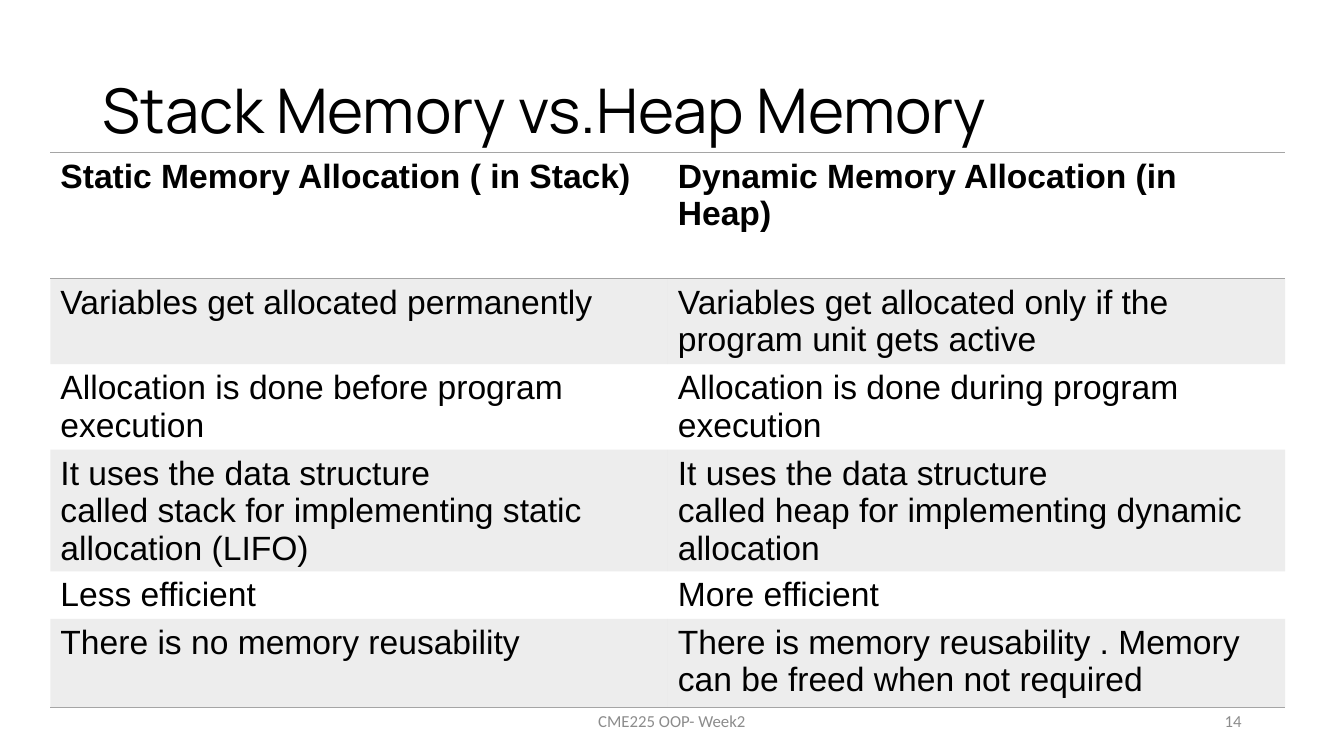
"""Build a slide that compares stack memory with heap memory in a table."""
from lxml.etree import SubElement
from pptx import Presentation
from pptx.dml.color import RGBColor
from pptx.enum.text import MSO_ANCHOR, MSO_AUTO_SIZE, PP_ALIGN
from pptx.oxml.ns import qn
from pptx.util import Pt

BLACK = RGBColor(0x00, 0x00, 0x00)
GREY = RGBColor(0x8C, 0x8C, 0x8C)
RULE = RGBColor(0xA5, 0xA5, 0xA5)
HARD = chr(160)

TITLE = {"name": "Manrope", "size": Pt(44), "bold": False}
HEAD = {"name": "Arial", "size": Pt(24), "bold": True}
BODY = {**HEAD, "bold": False}
FOOT = {"name": "Calibri", "size": Pt(12), "bold": False}

ROWS = [
    (90, "Static Memory Allocation ( in Stack)",
     "Dynamic Memory Allocation (in Heap)"),
    (61, "Variables get allocated~permanently",
     "Variables get allocated~only~if the program unit gets active"),
    (61, "Allocation is done~before~program execution",
     "Allocation is done~during~program execution"),
    (87, "It uses the data structure called~stack~for implementing static allocation (LIFO)",
     "It uses the data structure called~heap~for implementing dynamic allocation"),
    (34, "Less efficient", "More efficient"),
    (63, "There is~no memory reusability",
     "There is~memory reusability~. Memory can be freed when not required"),
]
NOTES = [(318, 324, PP_ALIGN.CENTER, "CME225 OOP- Week2"),
         (678, 216, PP_ALIGN.RIGHT, "14")]


def write(frame, text, look, color, align=PP_ALIGN.LEFT):
    frame.word_wrap = True
    para = frame.paragraphs[0]
    para.alignment = align
    run = para.add_run()
    run.text = text.replace("~", HARD)
    for key, value in look.items():
        setattr(run.font, key, value)
    run.font.color.rgb = color
    return para


def rule(cell, side):
    line = SubElement(cell._tc.get_or_add_tcPr(), qn("a:" + side), w=str(Pt(1)))
    fill = SubElement(line, qn("a:solidFill"))
    SubElement(fill, qn("a:srgbClr"), val=str(RULE))


deck = Presentation()
deck.slide_width, deck.slide_height = Pt(960), Pt(540)
slide = deck.slides.add_slide(deck.slide_layouts[5])

title = slide.shapes.title
place = {"left": Pt(66), "top": Pt(28.75), "width": Pt(828), "height": Pt(104.4)}
for key, value in place.items():
    setattr(title, key, value)
frame = title.text_frame
frame.auto_size = MSO_AUTO_SIZE.NONE
frame.vertical_anchor = MSO_ANCHOR.MIDDLE
write(frame, "Stack Memory vs.Heap Memory", TITLE, BLACK).line_spacing = 0.9

for left, width, align, text in NOTES:
    box = slide.shapes.add_textbox(Pt(left), Pt(500.5), Pt(width), Pt(28.75))
    box.text_frame.vertical_anchor = MSO_ANCHOR.MIDDLE
    write(box.text_frame, text, FOOT, GREY, align)

total = sum(row[0] for row in ROWS)
table = slide.shapes.add_table(
    len(ROWS), 2, Pt(36), Pt(109.2), Pt(882), Pt(total)).table
table.first_row = table.horz_banding = False
style = table._tbl.tblPr.find(qn("a:tableStyleId"))
style.text = "{2D5ABB26-0587-4C30-8999-92F81FD0307C}"

for r, (height, *texts) in enumerate(ROWS):
    table.rows[r].height = Pt(height)
    for c, text in enumerate(texts):
        cell = table.cell(r, c)
        cell.margin_bottom = Pt(0)
        para = write(cell.text_frame, text, BODY if r else HEAD, BLACK)
        para.line_spacing = Pt(26.8)
        if r == 0:
            rule(cell, "lnT")
        if r in (0, len(ROWS) - 1):
            rule(cell, "lnB")
        if r % 2:
            cell.fill.solid()
            cell.fill.fore_color.rgb = RULE
            tint = cell._tc.tcPr.find(qn("a:solidFill")).find(qn("a:srgbClr"))
            SubElement(tint, qn("a:alpha"), val="20000")
        else:
            cell.fill.background()

deck.save("out.pptx")
